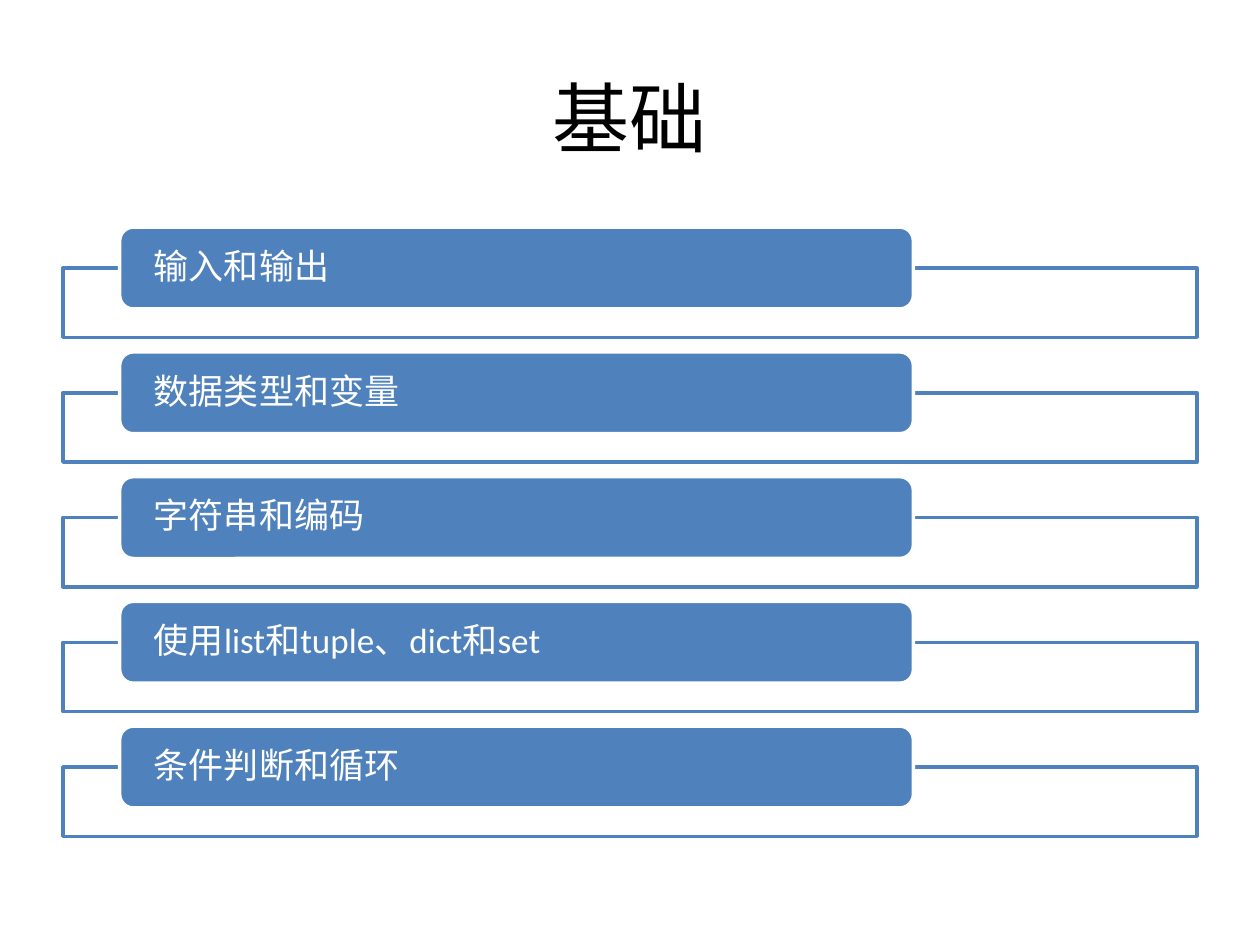
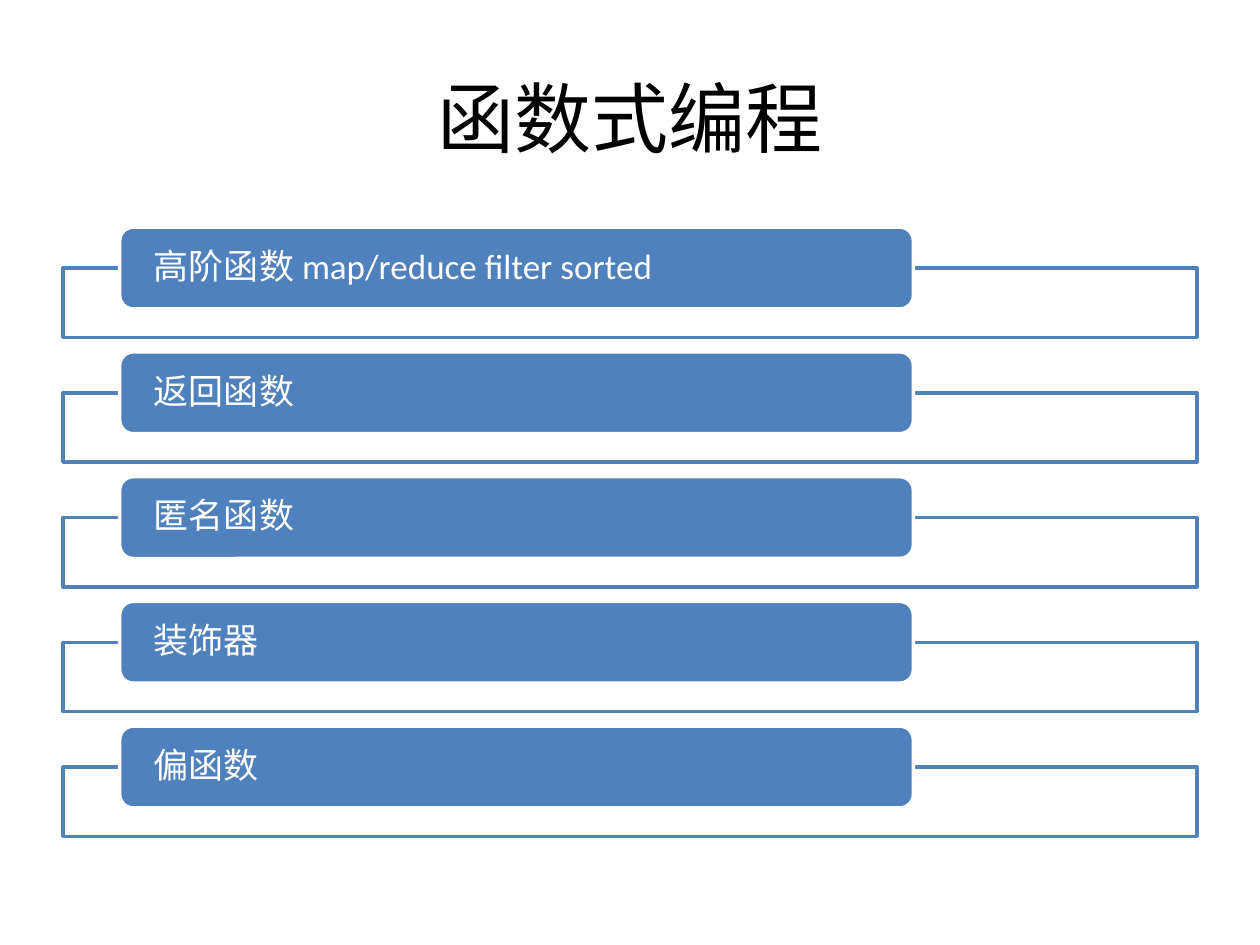
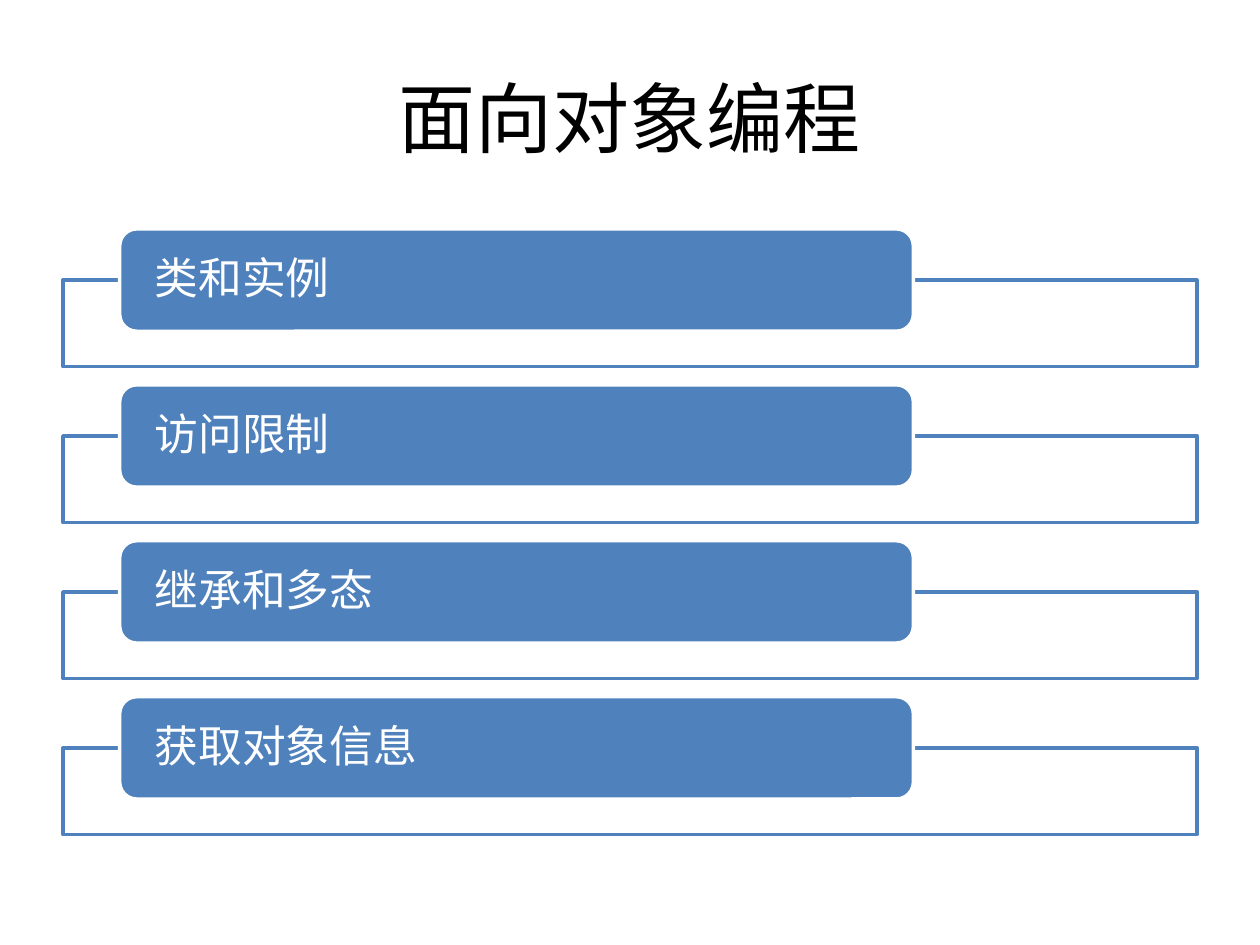
from lxml.etree import SubElement
from pptx import Presentation
from pptx.dml.color import RGBColor
from pptx.enum.shapes import MSO_SHAPE as Shape
from pptx.enum.text import MSO_ANCHOR as Anchor, PP_ALIGN as Align
from pptx.oxml.ns import qn
from pptx.util import Inches, Pt

WHITE = RGBColor(0xFF, 0xFF, 0xFF)
BLACK = RGBColor(0x00, 0x00, 0x00)
BLUE = RGBColor(0x4F, 0x81, 0xBD)
FONT = "Calibri"
TITLE_SIZE = 44
TITLE_ONLY = 5

WIDTH, HEIGHT = Inches(10), Inches(7.5)
MARGIN = 0.05 * WIDTH
CONTENT_WIDTH = WIDTH - 2 * MARGIN
TAB_INDENT = 0.05 * CONTENT_WIDTH
TAB_WIDTH = 0.7 * CONTENT_WIDTH
LIST_CENTRE = Inches(4.22)

BASE_SIZE = 20
TAB_HEIGHT = Inches(0.65)
FRAME_HEIGHT = Inches(0.55)
ROW_PITCH = Inches(0.99)

CHAPTERS = [
    ("基础", 20, [
        "输入和输出",
        "数据类型和变量",
        "字符串和编码",
        "使用list和tuple、dict和set",
        "条件判断和循环",
    ]),
    ("函数式编程", 20, [
        "高阶函数 map/reduce filter sorted",
        "返回函数",
        "匿名函数",
        "装饰器",
        "偏函数",
    ]),
    ("面向对象编程", 25, [
        "类和实例",
        "访问限制",
        "继承和多态",
        "获取对象信息",
    ]),
]


def add_run(paragraph, text, size, color):
    run = paragraph.add_run()
    run.text = text
    run.font.name = FONT
    run.font.size = Pt(size)
    run.font.color.rgb = color


def set_title(slide, text):
    title = slide.shapes.title
    title.left, title.top = int(MARGIN), int(0.04 * HEIGHT)
    title.width, title.height = int(CONTENT_WIDTH), Inches(1.25)
    title.text_frame.vertical_anchor = Anchor.MIDDLE
    paragraph = title.text_frame.paragraphs[0]
    paragraph.alignment = Align.CENTER
    add_run(paragraph, text, TITLE_SIZE, BLACK)


def add_box(group, kind, left, top, width, height, fill, line):
    box = group.shapes.add_shape(kind, int(left), int(top), int(width), int(height))
    box.shadow.inherit = False
    box.fill.solid()
    box.fill.fore_color.rgb = fill
    box.line.color.rgb = line
    box.line.width = Pt(2)
    return box


def add_frame(group, top, height):
    frame = add_box(group, Shape.RECTANGLE, MARGIN, top,
                    CONTENT_WIDTH, height, WHITE, BLUE)
    color = frame.fill._xPr.find(qn("a:solidFill"))[0]
    SubElement(color, qn("a:alpha")).set("val", "90000")


def add_tab(group, top, height, text, size):
    tab = add_box(group, Shape.ROUNDED_RECTANGLE, MARGIN + TAB_INDENT, top,
                  TAB_WIDTH, height, BLUE, WHITE)
    text_frame = tab.text_frame
    text_frame.word_wrap = True
    text_frame.vertical_anchor = Anchor.MIDDLE
    text_frame.margin_left = text_frame.margin_right = Inches(0.24)
    text_frame.margin_top = text_frame.margin_bottom = 0
    paragraph = text_frame.paragraphs[0]
    paragraph.alignment = Align.LEFT
    paragraph.line_spacing = 0.9
    paragraph.space_after = Pt(0.35 * size)
    add_run(paragraph, text, size, WHITE)


def add_topic_list(slide, topics, size):
    scale = size / BASE_SIZE
    tab_height, frame_height, pitch = (
        scale * length for length in (TAB_HEIGHT, FRAME_HEIGHT, ROW_PITCH))
    list_height = (len(topics) - 1) * pitch + tab_height / 2 + frame_height
    list_top = LIST_CENTRE - list_height / 2
    group = slide.shapes.add_group_shape()
    for row, topic in enumerate(topics):
        top = list_top + row * pitch
        add_frame(group, top + tab_height / 2, frame_height)
        add_tab(group, top, tab_height, topic, size)


def main():
    presentation = Presentation()
    presentation.slide_width, presentation.slide_height = WIDTH, HEIGHT
    for title, size, topics in CHAPTERS:
        slide = presentation.slides.add_slide(presentation.slide_layouts[TITLE_ONLY])
        set_title(slide, title)
        add_topic_list(slide, topics, size)
    presentation.save("out.pptx")


if __name__ == "__main__":
    main()
